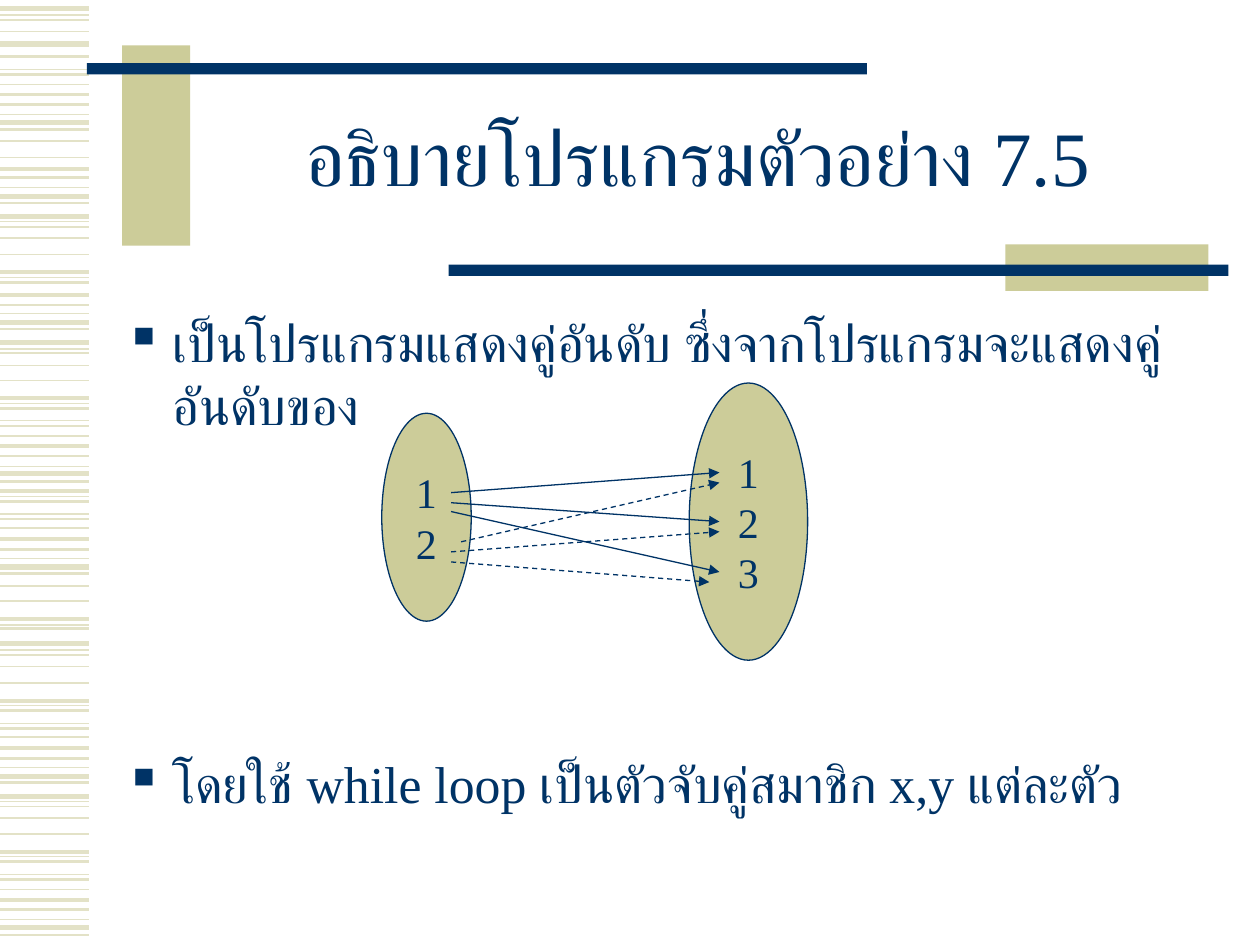
from lxml.etree import SubElement
from pptx import Presentation
from pptx.dml.color import RGBColor
from pptx.enum.dml import MSO_LINE
from pptx.enum.shapes import MSO_CONNECTOR, MSO_SHAPE
from pptx.enum.text import MSO_ANCHOR, PP_ALIGN
from pptx.oxml.ns import qn
from pptx.util import Inches, Pt

NAVY, KHAKI, PALE = "003366", "CCCC99", "E3E2C7"
FONT = "Times New Roman"

STRIPES = {
    0.75: [0.12, 0.55, 0.91, 1.49, 1.76, 2.2, 2.49, 2.77, 3.2, 3.34, 3.7, 3.94, 4.08,
           4.43, 4.96, 5.16, 5.6, 5.74, 6.09, 6.36, 6.8, 6.94, 7.3],
    1: [0.16, 0.25, 0.67, 1.12, 1.25, 1.8, 1.89, 2.02, 2.8, 2.9, 3.02, 3.46, 4.19,
        4.65, 4.77, 5.2, 5.29, 5.42, 5.85, 6.4, 6.49, 6.62, 7.06],
    1.5: [0.45, 0.59, 0.83, 1.03, 1.41, 1.61, 2.24, 2.42, 2.61, 3.24, 3.38, 3.62,
          3.82, 3.98, 4.12, 4.36, 4.55, 4.99, 5.64, 5.78, 6.02, 6.21, 6.84, 6.98,
          7.22, 7.42],
    2.25: [0.75, 1.34, 2.16, 2.34, 3.16, 3.54, 3.9, 4.28, 4.91, 5.56, 5.94, 6.76, 7.14],
    3: [0.07, 0.35, 0.97, 1.56, 1.72, 2.56, 2.72, 3.76, 4.5, 5.11, 6.16, 6.32, 7.36],
}
BARS = [
    (0.97, 0.36, 0.54, 1.59, KHAKI),
    (0.69, 0.5, 6.19, 0.09, NAVY),
    (7.98, 1.94, 1.61, 0.37, KHAKI),
    (3.56, 2.1, 6.19, 0.09, NAVY),
]
SOLID_ARROWS = [
    ((3.58, 3.91), (5.71, 3.75)),
    ((3.58, 3.99), (5.71, 4.14)),
    ((3.58, 4.06), (5.71, 4.54)),
]
DASHED_ARROWS = [
    ((3.66, 4.3), (5.71, 3.83)),
    ((3.58, 4.38), (5.71, 4.22)),
    ((3.58, 4.46), (5.63, 4.62)),
]


def color(value):
    """Turn a hex string into a colour."""
    return RGBColor.from_string(value)


def add_line(page, start, end, line_color, width, dash=None, arrow=False):
    """Draw a straight line, optionally dashed or with an arrowhead."""
    points = [Inches(value) for value in (*start, *end)]
    line = page.shapes.add_connector(MSO_CONNECTOR.STRAIGHT, *points)
    line.line.color.rgb = color(line_color)
    line.line.width = Pt(width)
    if dash:
        line.line.dash_style = dash
    if arrow:
        SubElement(line.line._get_or_add_ln(), qn("a:tailEnd"), type="triangle")
    SubElement(line._element.spPr, qn("a:effectLst"))


def add_shape(page, kind, left, top, width, height, fill, outline=None):
    """Add a filled preset shape without a shadow."""
    shape = page.shapes.add_shape(
        kind, Inches(left), Inches(top), Inches(width), Inches(height))
    shape.shadow.inherit = False
    shape.fill.solid()
    shape.fill.fore_color.rgb = color(fill)
    if outline:
        shape.line.color.rgb = color(outline)
        shape.line.width = Pt(0.75)
    else:
        shape.line.fill.background()
    return shape


def add_box(page, left, top, width, height, anchor=MSO_ANCHOR.TOP):
    """Add a wrapping text box and return its text frame."""
    box = page.shapes.add_textbox(
        Inches(left), Inches(top), Inches(width), Inches(height))
    box.text_frame.word_wrap = True
    box.text_frame.vertical_anchor = anchor
    return box.text_frame


def write(para, text, size, align=PP_ALIGN.LEFT, spacing=None, before=0, bullet=None):
    """Fill a paragraph with text in the slide's font and colour."""
    para.alignment = align
    para.space_before = Pt(before)
    if spacing:
        para.line_spacing = spacing
    if bullet:
        properties = para._p.get_or_add_pPr()
        properties.set("marL", str(Inches(0.38)))
        properties.set("indent", str(Inches(-0.38)))
        SubElement(properties, qn("a:buChar"), char=bullet)
    span = para.add_run()
    span.text = text
    span.font.size = Pt(size)
    span.font.name = FONT
    span.font.color.rgb = color(NAVY)
    SubElement(span._r.get_or_add_rPr(), qn("a:cs"), typeface=FONT)


def add_set(page, members, *place):
    """Draw an ellipse that lists the members of a set."""
    frame = add_shape(page, MSO_SHAPE.OVAL, *place, KHAKI, NAVY).text_frame
    frame.word_wrap = False
    frame.vertical_anchor = MSO_ANCHOR.MIDDLE
    for index, member in enumerate(members):
        para = frame.add_paragraph() if index else frame.paragraphs[0]
        write(para, member, 24, align=PP_ALIGN.CENTER)


def add_background(page):
    """Draw the striped margin and the bars around the title."""
    for width, heights in STRIPES.items():
        for y in heights:
            add_line(page, (0, y), (0.71, y), PALE, width)
    for bar in BARS:
        add_shape(page, MSO_SHAPE.RECTANGLE, *bar)


def main():
    """Build the slide and save it."""
    deck = Presentation()
    deck.slide_width, deck.slide_height = Inches(10), Inches(7.5)
    page = deck.slides.add_slide(deck.slide_layouts[6])
    add_background(page)

    title = add_box(page, 1.5, 0.67, 8.07, 1.25, MSO_ANCHOR.MIDDLE)
    write(title.paragraphs[0], "อธิบายโปรแกรมตัวอย่าง 7.5", 44,
          align=PP_ALIGN.CENTER, spacing=0.85)

    body = add_box(page, 0.89, 2.42, 8.7, 4.24)
    write(body.paragraphs[0],
          "เป็นโปรแกรมแสดงคู่อันดับ ซึ่งจากโปรแกรมจะแสดงคู่อันดับของ",
          29.6, before=8, bullet="▪")
    write(body.add_paragraph(), "โดยใช้ while loop เป็นตัวจับคู่สมาชิก x,y แต่ละตัว",
          29.6, before=181, bullet="▪")

    add_set(page, "12", 3.03, 3.28, 0.71, 1.65)
    add_set(page, "123", 5.47, 3.04, 0.94, 2.2)
    for start, end in SOLID_ARROWS:
        add_line(page, start, end, NAVY, 0.75, arrow=True)
    for start, end in DASHED_ARROWS:
        add_line(page, start, end, NAVY, 0.75, dash=MSO_LINE.DASH, arrow=True)
    deck.save("out.pptx")


if __name__ == "__main__":
    main()
